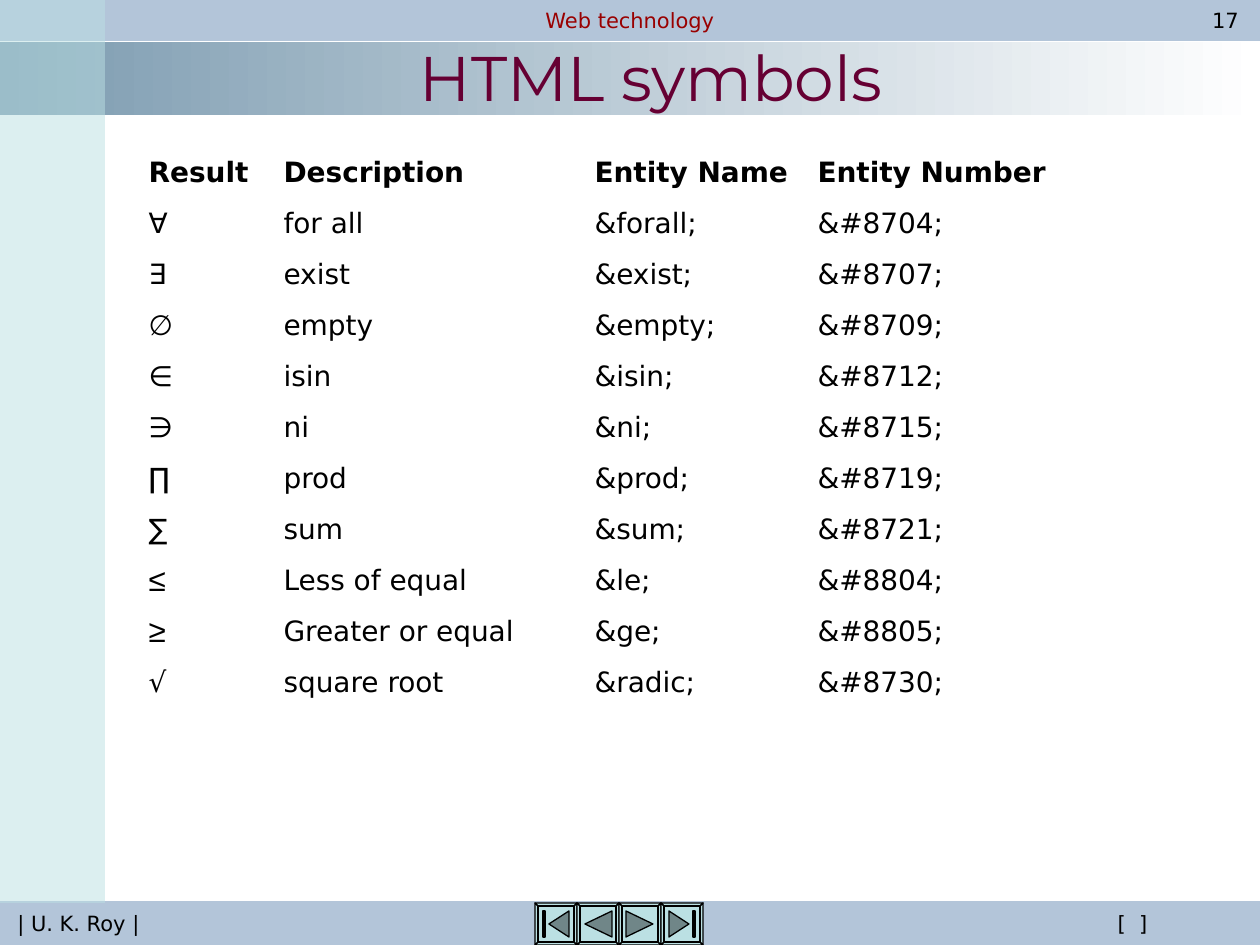
"""Build the HTML symbols slide with its frame, navigation buttons and entity table."""
from pptx import Presentation
from pptx import util as u
from pptx.dml.color import RGBColor
from pptx.enum import shapes, text
from pptx.oxml import ns, xmlchemy

PX = 914400 / 126
WHITE = RGBColor(0xFF, 0xFF, 0xFF)
BLACK = RGBColor(0, 0, 0)
BAR = RGBColor(0xB3, 0xC5, 0xD9)
BAND = RGBColor(0x7C, 0x9B, 0xB0)
AQUA = RGBColor(0xBB, 0xE0, 0xE3)
ICON = RGBColor(0x70, 0x86, 0x88)
RED = RGBColor(0x99, 0, 0)
PLUM = RGBColor(0x66, 0, 0x33)
SANS = "DejaVu Sans"

HEADINGS = ("Result", "Description", "Entity Name", "Entity Number")
SYMBOLS = (
    ("∀", "for all", "&forall;", "&#8704;"),
    ("∃", "exist", "&exist;", "&#8707;"),
    ("∅", "empty", "&empty;", "&#8709;"),
    ("∈", "isin", "&isin;", "&#8712;"),
    ("∋", "ni", "&ni;", "&#8715;"),
    ("∏", "prod", "&prod;", "&#8719;"),
    ("∑", "sum", "&sum;", "&#8721;"),
    ("≤", "Less of equal", "&le;", "&#8804;"),
    ("≥", "Greater or equal", "&ge;", "&#8805;"),
    ("√", "square root", "&radic;", "&#8730;"),
)
COLUMNS = (135, 311, 223, 255)
ROW = 51

BUTTON = 42
BEVEL = 3
SKIP_BACK = (((14, 21), (34, 8), (34, 34)), ((8, 8), (10, 8), (10, 34), (8, 34)))
STEP_BACK = (((8, 21), (35, 8), (35, 34)),)


def px(length):
    return u.Emu(round(length * PX))


def mirrored(contours):
    return [[(BUTTON - x, y) for x, y in contour] for contour in contours]


def bevelled_square():
    far, inner = BUTTON, BUTTON - BEVEL
    outer = [(0, 0), (far, 0), (far, far), (0, far)]
    face = [(BEVEL, BEVEL), (inner, BEVEL), (inner, inner), (BEVEL, inner)]
    sides = [(outer[i - 1], outer[i], face[i], face[i - 1]) for i in range(4)]
    return [face, *sides]


class SlidePainter:
    """Holds the slide and the text style, and adds each kind of element."""

    def __init__(self, page, font=SANS, size=12):
        self.page, self.font, self.size = page, font, size

    def style(self, para, size=None, color=BLACK, font=None, bold=False, shadow=False):
        for span in para.runs:
            span.font.size = u.Pt(size or self.size)
            span.font.bold = bold
            span.font.color.rgb = color
            span.font.name = font or self.font
            if shadow:
                effects = xmlchemy.OxmlElement("a:effectLst")
                cast = ns.qn("a:outerShdw")
                outer = effects.makeelement(cast, {"dist": "38100", "dir": "2700000"})
                outer.append(outer.makeelement(ns.qn("a:srgbClr"), {"val": "808080"}))
                effects.append(outer)
                span.font._element.find(ns.qn("a:solidFill")).addnext(effects)

    def rect(self, left, top, width, height, color, line=None, alpha=None):
        box = self.page.shapes.add_shape(
            shapes.MSO_SHAPE.RECTANGLE, px(left), px(top), px(width), px(height))
        box.shadow.inherit = False
        box.fill.solid()
        box.fill.fore_color.rgb = color
        if line is None:
            box.line.fill.background()
        else:
            box.line.color.rgb = line
            box.line.width = u.Pt(0.75)
        if alpha is not None:
            tint = box._element.spPr.find(".//" + ns.qn("a:srgbClr"))
            tint.append(tint.makeelement(ns.qn("a:alpha"), {"val": str(alpha * 1000)}))
        return box

    def fade(self, left, top, width, height, start, end):
        box = self.rect(left, top, width, height, start)
        box.fill.gradient()
        box.fill.gradient_angle = 0
        for stop, color in zip(box.fill.gradient_stops, (start, end)):
            stop.color.rgb = color

    def label(self, words, left, top, width, height, **style):
        box = self.page.shapes.add_shape(
            shapes.MSO_SHAPE.ROUNDED_RECTANGLE, px(left), px(top), px(width), px(height))
        box.adjustments[0] = 0.47
        box.shadow.inherit = False
        box.fill.background()
        box.line.fill.background()
        self.centre(box, words, False, **style)

    def title(self, words, left, top, width, height, **style):
        box = self.page.shapes.add_textbox(px(left), px(top), px(width), px(height))
        self.centre(box, words, True, **style)

    def centre(self, box, words, wrap, **style):
        frame = box.text_frame
        frame.text = words
        frame.word_wrap = wrap
        frame.vertical_anchor = text.MSO_ANCHOR.MIDDLE
        para = frame.paragraphs[0]
        para.alignment = text.PP_ALIGN.CENTER
        self.style(para, **style)

    def outline(self, contours, left, top, color):
        first, *others = contours
        builder = self.page.shapes.build_freeform(*first[0], scale=PX)
        builder.add_line_segments(first[1:], close=True)
        for contour in others:
            builder.move_to(*contour[0])
            builder.add_line_segments(contour[1:], close=True)
        shape = builder.convert_to_shape(px(left), px(top))
        shape.shadow.inherit = False
        shape.fill.solid()
        shape.fill.fore_color.rgb = color
        shape.line.color.rgb = BLACK
        shape.line.width = u.Pt(0.75)

    def button(self, icon, left, top):
        self.outline(bevelled_square(), left, top, AQUA)
        self.outline(icon, left, top, ICON)

    def table(self, rows, left, top, columns, row_height):
        table = self.page.shapes.add_table(
            len(rows), len(columns), px(left), px(top),
            px(sum(columns)), px(row_height * len(rows))).table
        table.horz_banding = table.first_row = False
        for column, width in zip(table.columns, columns):
            column.width = px(width)
        for r, row in enumerate(rows):
            table.rows[r].height = px(row_height)
            for c, words in enumerate(row):
                cell = table.cell(r, c)
                cell.fill.background()
                cell.vertical_anchor = text.MSO_ANCHOR.MIDDLE
                cell.text_frame.text = words
                special = words in ("≤", "≥")
                self.style(cell.text_frame.paragraphs[0], size=18 if special else 16,
                           font="Arial" if special else SANS, bold=r == 0)


def main():
    deck = Presentation()
    deck.slide_width, deck.slide_height = px(1260), px(945)
    painter = SlidePainter(deck.slides.add_slide(deck.slide_layouts[6]))

    painter.fade(0, 42, 1260, 73, BAND, WHITE)
    painter.rect(0, 0, 1260, 40, BAR, line=BAR)
    painter.label("Web technology", 441, 0, 378, 40, color=RED)
    painter.rect(0, 902, 1260, 42, BAR, line=BAR)
    painter.label("| U. K. Roy |", 0, 903, 157, 40)
    painter.label("[  ]", 1008, 903, 249, 40, shadow=True)
    icons = (SKIP_BACK, STEP_BACK, mirrored(STEP_BACK), mirrored(SKIP_BACK))
    for i, icon in enumerate(icons):
        painter.button(icon, 535 + i * BUTTON, 903)
    painter.label("17", 1194, 0, 63, 40)
    painter.rect(0, 0, 105, 903, AQUA, alpha=50)

    painter.title("HTML symbols", 105, 16, 1092, 120,
                  size=36, color=PLUM, font="Montserrat", shadow=True)
    painter.table((HEADINGS, *SYMBOLS), 136, 147, COLUMNS, ROW)
    deck.save("out.pptx")


if __name__ == "__main__":
    main()
